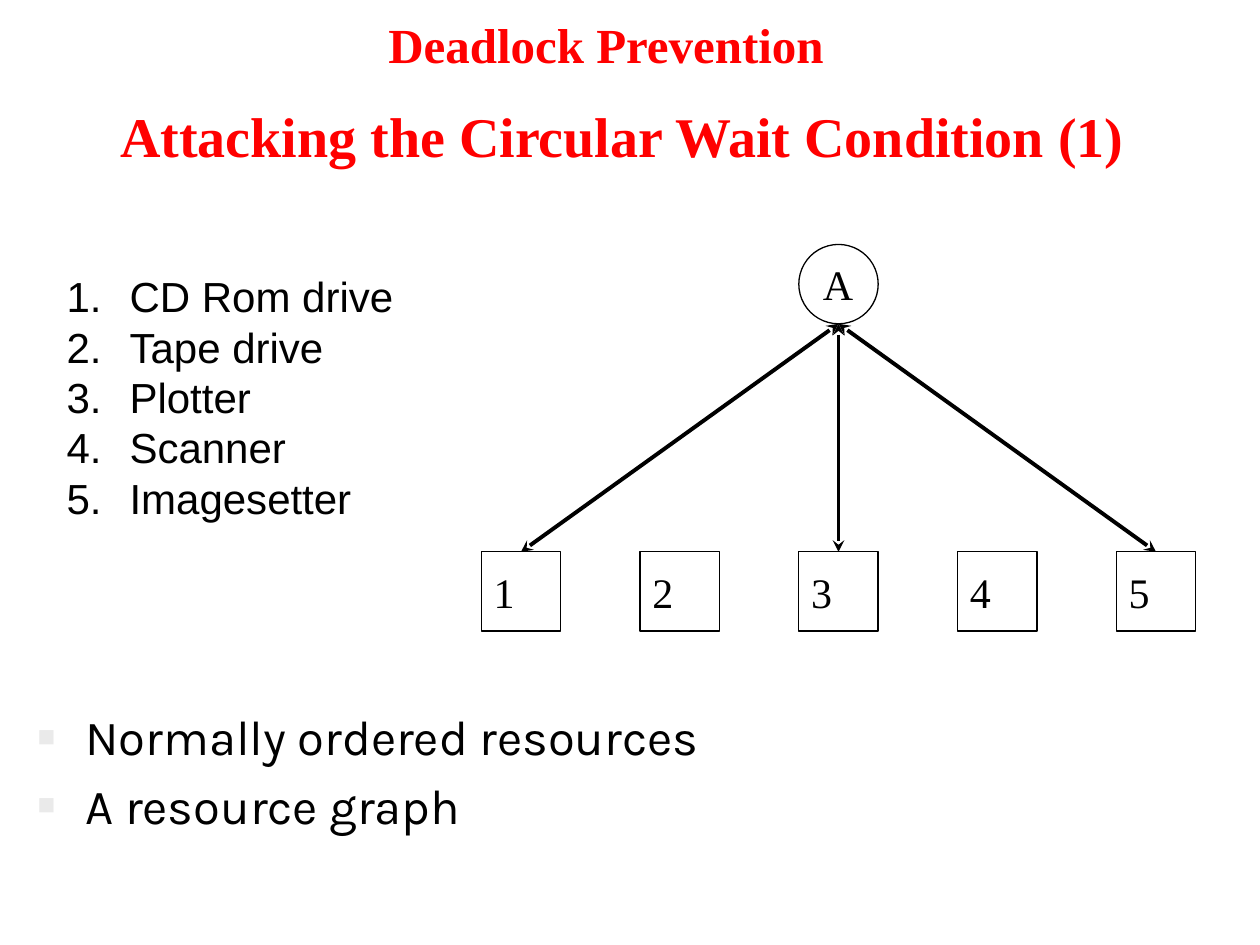
from lxml import etree
from pptx import Presentation
from pptx import util as u
from pptx.dml.color import RGBColor
from pptx.enum import shapes, text
from pptx.oxml.ns import qn

RED = RGBColor(0xFF, 0x00, 0x00)
BLACK = RGBColor(0x00, 0x00, 0x00)
WHITE = RGBColor(0xFF, 0xFF, 0xFF)
SERIF = "Times New Roman"
NODE_SIZE = u.Inches(0.63)
LINKED = (1, 3, 5)


def set_font(para, name, size, color, bold=False):
    """Set the font of a whole paragraph."""
    para.font.name = name
    para.font.size = u.Pt(size)
    para.font.color.rgb = color
    para.font.bold = bold


def set_indent(para, inches):
    """Give a paragraph a hanging indent and return its properties element."""
    props = para._p.get_or_add_pPr()
    props.set("marL", str(u.Inches(inches)))
    props.set("indent", str(-u.Inches(inches)))
    return props


def add_heading(shape, box, wording, size):
    """Place a centred red heading in the box."""
    shape.left, shape.top, shape.width, shape.height = box
    frame = shape.text_frame
    frame.text = wording
    frame.word_wrap = True
    frame.auto_size = text.MSO_AUTO_SIZE.SHAPE_TO_FIT_TEXT
    frame.vertical_anchor = text.MSO_ANCHOR.MIDDLE
    para = frame.paragraphs[0]
    para.alignment = text.PP_ALIGN.CENTER
    set_font(para, SERIF, size, RED, bold=True)


def add_node(page, kind, left, top, label):
    """Draw one outlined graph node with its label."""
    node = page.shapes.add_shape(kind, left, top, NODE_SIZE, NODE_SIZE)
    node.shadow.inherit = False
    node.fill.background()
    node.line.color.rgb = BLACK
    node.line.width = u.Pt(0.75)
    frame = node.text_frame
    frame.text = label
    frame.word_wrap = False
    frame.vertical_anchor = text.MSO_ANCHOR.MIDDLE
    para = frame.paragraphs[0]
    para.alignment = text.PP_ALIGN.LEFT
    set_indent(para, 0.5)
    set_font(para, SERIF, 24, BLACK)
    return node


def add_link(page, process, resource):
    """Join the process to a resource with a double-headed arrow."""
    link = page.shapes.add_connector(
        shapes.MSO_CONNECTOR.STRAIGHT,
        process.left + process.width // 2, process.top + process.height,
        resource.left + resource.width // 2, resource.top)
    link.end_connect(resource, 0)
    link.line.color.rgb = BLACK
    link.line.width = u.Pt(2.25)
    outline = link.line._get_or_add_ln()
    for end in ("a:headEnd", "a:tailEnd"):
        etree.SubElement(outline, qn(end), type="stealth")
    etree.SubElement(link._element.spPr, qn("a:effectLst"))


def add_resource_graph(page, box):
    """Draw process A above five evenly spaced resources."""
    left, top, width, height = box
    step = (width - NODE_SIZE) // 4
    process = add_node(page, shapes.MSO_SHAPE.OVAL, left + 2 * step, top, "A")
    for number in range(1, 6):
        resource = add_node(page, shapes.MSO_SHAPE.RECTANGLE,
                            left + (number - 1) * step,
                            top + height - NODE_SIZE, str(number))
        if number in LINKED:
            add_link(page, process, resource)


def add_list(page, box, items, wrap):
    """Add a text box with one paragraph for each item."""
    frame = page.shapes.add_textbox(*box).text_frame
    frame.text = "\n".join(items)
    frame.word_wrap = wrap
    return frame


def add_devices(page, box):
    """Add the numbered list of devices."""
    items = ("CD Rom drive", "Tape drive", "Plotter", "Scanner", "Imagesetter")
    frame = add_list(page, box, items, wrap=False)
    frame.auto_size = text.MSO_AUTO_SIZE.SHAPE_TO_FIT_TEXT
    for para in frame.paragraphs:
        props = set_indent(para, 0.5)
        etree.SubElement(props, qn("a:buAutoNum"), type="arabicPeriod")
        set_font(para, "Arial", 24, BLACK)


def add_captions(page, box):
    """Add the captions with pale square bullets."""
    items = ("Normally ordered resources", "A resource graph")
    for para in add_list(page, box, items, wrap=True).paragraphs:
        props = set_indent(para, 0.38)
        color = etree.SubElement(props, qn("a:buClr"))
        etree.SubElement(color, qn("a:srgbClr"), val="EAEAEA")
        etree.SubElement(props, qn("a:buSzPct"), val="60000")
        etree.SubElement(props, qn("a:buFont"), typeface="Arial")
        etree.SubElement(props, qn("a:buChar"), char="■")
        para.space_before = u.Pt(5.6)
        set_font(para, "Karla", 28, BLACK)


def inches(*lengths):
    """Turn the numbers of a box into lengths."""
    return tuple(u.Inches(length) for length in lengths)


def main():
    """Build the slide and save the deck."""
    deck = Presentation()
    deck.slide_width, deck.slide_height = inches(10, 7.5)
    page = deck.slides.add_slide(deck.slide_layouts[5])
    page.background.fill.solid()
    page.background.fill.fore_color.rgb = WHITE
    add_heading(page.shapes.title, inches(0.69, 0.75, 8.5, 0.64),
                "Attacking the Circular Wait Condition (1)", 32)
    add_resource_graph(page, inches(3.82, 1.94, 5.67, 3.07))
    add_captions(page, inches(0.2, 5.56, 9.6, 1.34))
    add_devices(page, inches(0.43, 2.1, 2.8, 2.1))
    topic_box = inches(0.56, 0.06, 8.5, 0.57)
    add_heading(page.shapes.add_textbox(*topic_box), topic_box,
                "Deadlock Prevention", 28)
    deck.save("out.pptx")


if __name__ == "__main__":
    main()
